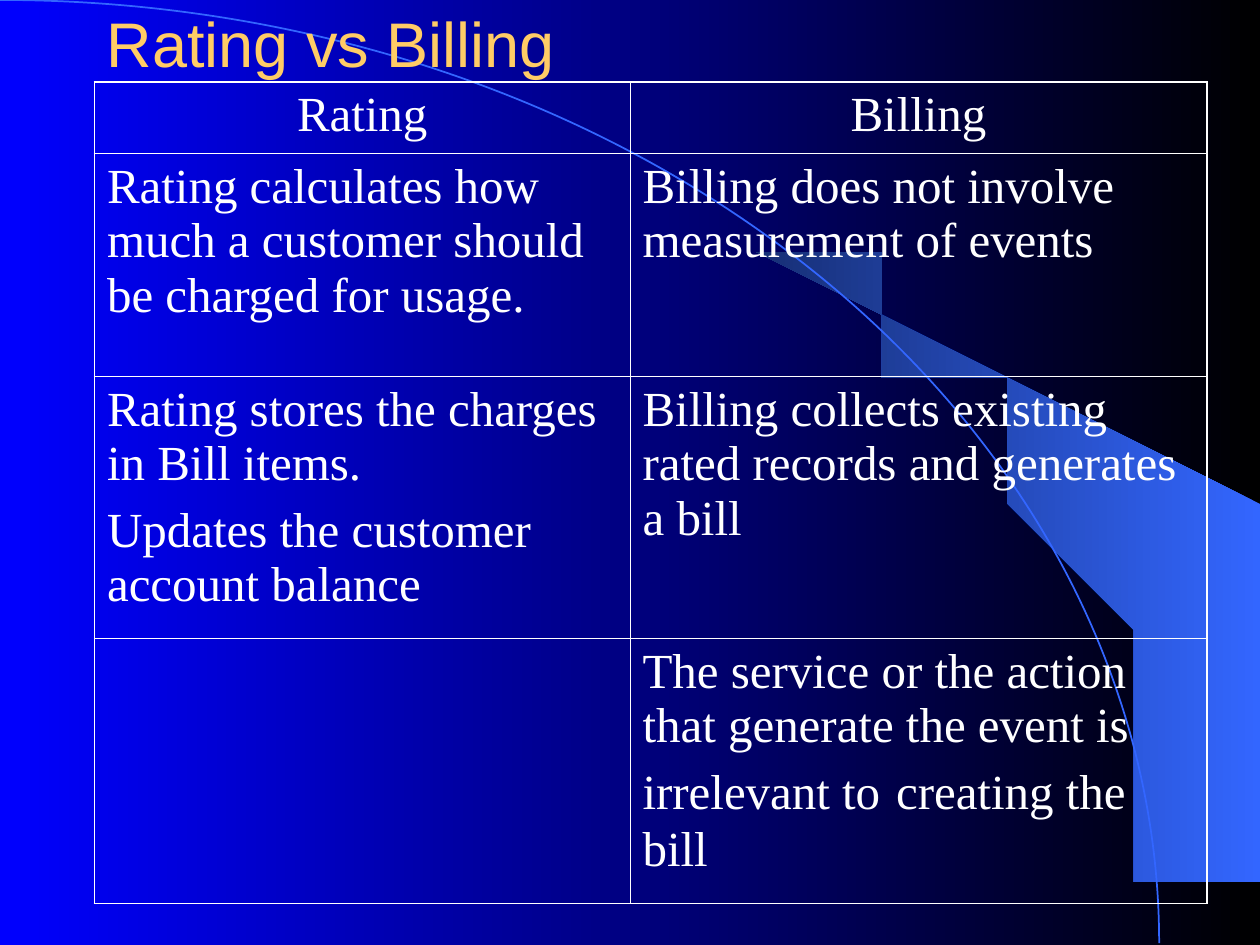
from dataclasses import dataclass
from lxml.etree import SubElement
from pptx import Presentation
from pptx.dml.color import RGBColor
from pptx.enum.shapes import MSO_SHAPE
from pptx.enum.text import MSO_ANCHOR, PP_ALIGN
from pptx.oxml.ns import qn
from pptx.util import Inches, Pt


@dataclass(frozen=True)
class Theme:
    blue: str = "0000FF"
    black: str = "000000"
    sky: str = "3366FF"
    navy: str = "172F75"
    gold: str = "FFCC66"
    white: str = "FFFFFF"
    head: str = "Arial"
    body: str = "Times New Roman"
    large: float = 36
    text: float = 28
    gap: float = 7
    thick: float = 1.08
    thin: float = 0.45


class Deck:
    def __init__(self, theme):
        self.theme = theme
        self.prs = Presentation()
        self.prs.slide_width, self.prs.slide_height = Inches(10), Inches(7.5)
        self.slide = self.prs.slides.add_slide(self.prs.slide_layouts[6])
        self.shapes = self.slide.shapes

    def blend(self, fill, *colors):
        fill.gradient()
        fill.gradient_angle = 180
        for stop, color in zip(fill.gradient_stops, colors):
            stop.color.rgb = RGBColor.from_string(color)

    def font(self, run, size, face, color):
        run.font.size, run.font.name = Pt(size), face
        run.font.color.rgb = RGBColor.from_string(color)

    def wedge(self, points):
        pen = self.shapes.build_freeform(*points[0], scale=Inches(1))
        pen.add_line_segments(points[1:], close=True)
        shape = pen.convert_to_shape()
        shape.shadow.inherit = False
        shape.line.fill.background()
        self.blend(shape.fill, self.theme.sky, self.theme.navy)

    def arc(self, *box):
        shape = self.shapes.add_shape(MSO_SHAPE.ARC, *map(Inches, box))
        shape.shadow.inherit = False
        shape.fill.background()
        shape.line.color.rgb = RGBColor.from_string(self.theme.sky)
        shape.line.width = Pt(1)

    def title(self, text, *box):
        frame = self.shapes.add_textbox(*map(Inches, box)).text_frame
        frame.word_wrap = True
        frame.vertical_anchor = MSO_ANCHOR.MIDDLE
        frame.text = text
        run = frame.paragraphs[0].runs[0]
        self.font(run, self.theme.large, self.theme.head, self.theme.gold)

    def edge(self, cell, side, width):
        line = SubElement(cell._tc.get_or_add_tcPr(), qn("a:ln" + side),
                          w=str(Pt(width)))
        fill = SubElement(line, qn("a:solidFill"))
        SubElement(fill, qn("a:srgbClr"), val=self.theme.white)

    def cell(self, cell, paras, center):
        frame = cell.text_frame
        for i, parts in enumerate(paras):
            para = frame.add_paragraph() if i else frame.paragraphs[0]
            para.alignment = PP_ALIGN.CENTER if center else PP_ALIGN.LEFT
            para.space_before = Pt(self.theme.gap if i else 0)
            for part in parts:
                run = para.add_run()
                run.text = part
                # A lone space is set in the larger size
                size = self.theme.text if part.strip() else self.theme.large
                self.font(run, size, self.theme.body, self.theme.white)

    def table(self, rows, left, top, widths, heights):
        frame = self.shapes.add_table(
            len(heights), len(widths), Inches(left), Inches(top),
            Inches(sum(widths)), Inches(sum(heights)))
        table = frame.table
        table.first_row = table.horz_banding = False
        for col, width in zip(table.columns, widths):
            col.width = Inches(width)
        for r, (row, height) in enumerate(zip(rows, heights)):
            table.rows[r].height = Inches(height)
            for c, paras in enumerate(row):
                cell = table.cell(r, c)
                self.cell(cell, paras, r == 0)
                outer = {"L": c == 0, "R": c == len(widths) - 1,
                         "T": r == 0, "B": r == len(heights) - 1}
                for side, out in outer.items():
                    self.edge(cell, side,
                              self.theme.thick if out else self.theme.thin)
                cell.fill.background()


# Outline of the light beam
BEAM = [(9.2, 7.48), (9.99, 7.49), (9.99, 4.23), (5.89, 1.73), (6.24, 1.99),
        (6.53, 2.22), (6.85, 2.5), (7.16, 2.8), (7.62, 3.3), (8.03, 3.84),
        (8.32, 4.31), (8.58, 4.79), (8.78, 5.28), (8.93, 5.72), (9.03, 6.09),
        (9.13, 6.56), (9.17, 6.96)]

# Rows of cells; a cell lists paragraphs, a paragraph lists runs
ROWS = [
    [[["Rating"]], [["Billing"]]],
    [[["Rating calculates how much a customer should be charged for usage."]],
     [["Billing does not involve measurement of events"]]],
    [[["Rating stores the charges in Bill items."],
      ["Updates the customer account balance"]],
     [["Billing collects existing rated records and generates a bill"]]],
    [[],
     [["The service or the action that generate the event is irrelevant to",
       " ", "creating the bill"]]],
]


def main():
    theme = Theme()
    deck = Deck(theme)

    # Backdrop
    deck.blend(deck.slide.background.fill, theme.black, theme.blue)
    deck.wedge(BEAM)
    deck.arc(-9.2, 0, 18.4, 14.97)

    # Title and comparison
    deck.title("Rating vs Billing", 0.75, 0, 8.5, 0.67)
    deck.table(ROWS, 0.75, 0.65, [4.25, 4.58], [0.57, 1.77, 2.08, 2.1])

    deck.prs.save("out.pptx")


if __name__ == "__main__":
    main()
